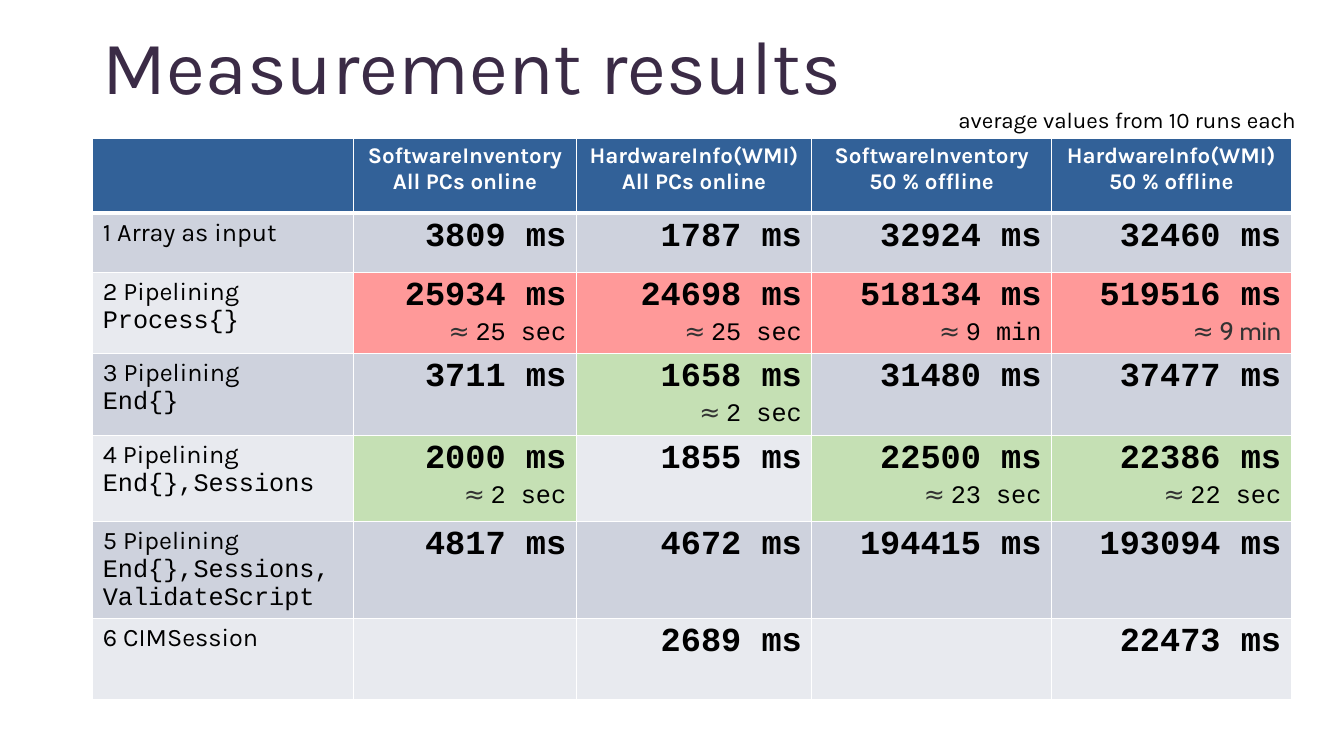
from dataclasses import dataclass
from typing import Optional

from lxml import etree
from pptx import Presentation, util as u
from pptx.dml import color
from pptx.enum import text
from pptx.oxml import ns


@dataclass(frozen=True)
class Theme:
    sans: str = "Karla"
    mono: str = "Courier New"
    note: str = "Cabin"
    title: str = "3B2B46"
    ink: str = "000000"
    soft: str = "333333"
    white: str = "FFFFFF"
    header: str = "326198"
    band_dark: str = "CED2DD"
    band_light: str = "E8EAEF"
    slow: str = "FF9999"
    fast: str = "C5E0B4"
    title_size: float = 54
    value_size: float = 24
    label_size: float = 18
    small_size: float = 16


THEME = Theme()


@dataclass(frozen=True)
class Span:
    text: str
    size: float
    font: str
    color: str = THEME.ink
    bold: bool = False


@dataclass(frozen=True)
class Measure:
    value: str
    rounded: str = ""
    fill: Optional[str] = None
    rounded_font: str = THEME.mono
    rounded_color: str = THEME.ink


@dataclass(frozen=True)
class Method:
    name: str
    code: tuple[str, ...]
    height: float
    measures: tuple[Optional[Measure], ...]


def slow(value: str, rounded: str) -> Measure:
    return Measure(value, rounded, THEME.slow)


def fast(value: str, rounded: str) -> Measure:
    return Measure(value, rounded, THEME.fast)


LEFT, TOP, HEADER_HEIGHT = 66.24, 98.64, 53.5
COLUMN_WIDTHS = (186.3, 159.1, 168.3, 171.2, 171.2)
HEADINGS = tuple(
    (script, state)
    for state in ("All PCs online", "50 % offline")
    for script in ("SoftwareInventory", "HardwareInfo(WMI)")
)
METHODS = (
    Method("1 Array as input", (), 42.5, (
        Measure("3809"), Measure("1787"), Measure("32924"), Measure("32460"))),
    Method("2 Pipelining", ("Process{}",), 58, (
        slow("25934", "25 sec"), slow("24698", "25 sec"), slow("518134", "9 min"),
        Measure("519516", "9 min", THEME.slow, THEME.note, THEME.soft))),
    Method("3 Pipelining", ("End{}",), 58.5, (
        Measure("3711"), fast("1658", "2 sec"), Measure("31480"), Measure("37477"))),
    Method("4 Pipelining", ("End{},Sessions",), 61.5, (
        fast("2000", "2 sec"), Measure("1855"), fast("22500", "23 sec"), fast("22386", "22 sec"))),
    Method("5 Pipelining", ("End{},Sessions,", "ValidateScript"), 69, (
        Measure("4817"), Measure("4672"), Measure("194415"), Measure("193094"))),
    Method("6 CIMSession", (), 58, (
        None, Measure("2689"), None, Measure("22473"))),
)


def write(frame, lines: list[list[Span]], align=text.PP_ALIGN.LEFT) -> None:
    for index, spans in enumerate(lines):
        para = frame.paragraphs[0] if index == 0 else frame.add_paragraph()
        para.alignment = align
        for span in spans:
            run = para.add_run()
            run.text = span.text
            run.font.size = u.Pt(span.size)
            run.font.name = span.font
            run.font.bold = span.bold
            run.font.color.rgb = color.RGBColor.from_string(span.color)


def paint(cell, fill: str, top: float = 1, bottom: float = 1) -> None:
    cell.fill.solid()
    cell.fill.fore_color.rgb = color.RGBColor.from_string(fill)
    properties = cell._tc.get_or_add_tcPr()
    borders = (("a:lnL", 1), ("a:lnR", 1), ("a:lnT", top), ("a:lnB", bottom))
    for position, (tag, width) in enumerate(borders):
        line = etree.Element(ns.qn(tag), w=str(int(u.Pt(width))))
        solid = etree.SubElement(line, ns.qn("a:solidFill"))
        etree.SubElement(solid, ns.qn("a:srgbClr"), val=THEME.white)
        properties.insert(position, line)


def measure_lines(measure: Measure) -> list[list[Span]]:
    lines = [[Span(f"{measure.value} ms", THEME.value_size, THEME.mono, bold=True)]]
    if measure.rounded:
        lines.append([
            Span("≈ ", THEME.label_size, THEME.note, THEME.soft),
            Span(measure.rounded, THEME.label_size, measure.rounded_font, measure.rounded_color),
        ])
    return lines


def add_title(page) -> None:
    title = page.shapes.title
    title.left, title.top = u.Pt(LEFT), u.Pt(1.44)
    title.width, title.height = u.Pt(766), u.Pt(97.2)
    frame = title.text_frame
    frame.auto_size = text.MSO_AUTO_SIZE.NONE
    frame.vertical_anchor = text.MSO_ANCHOR.MIDDLE
    write(frame, [[Span("Measurement results", THEME.title_size, THEME.sans, THEME.title)]])
    frame.paragraphs[0].line_spacing = 0.9


def add_results(page) -> None:
    total = HEADER_HEIGHT + sum(method.height for method in METHODS)
    table = page.shapes.add_table(
        len(METHODS) + 1, len(COLUMN_WIDTHS),
        u.Pt(LEFT), u.Pt(TOP), u.Pt(sum(COLUMN_WIDTHS)), u.Pt(total),
    ).table
    for column, width in zip(table.columns, COLUMN_WIDTHS):
        column.width = u.Pt(width)
    table.rows[0].height = u.Pt(HEADER_HEIGHT)

    for index, heading in enumerate(((),) + HEADINGS):
        cell = table.cell(0, index)
        paint(cell, THEME.header, bottom=3)
        lines = [[Span(line, THEME.small_size, THEME.sans, THEME.white, True)] for line in heading]
        write(cell.text_frame, lines, text.PP_ALIGN.CENTER)

    for row, method in enumerate(METHODS, start=1):
        table.rows[row].height = u.Pt(method.height)
        band = THEME.band_dark if row % 2 else THEME.band_light
        top = 3 if row == 1 else 1
        label = table.cell(row, 0)
        paint(label, band, top)
        code = [[Span(line, THEME.label_size, THEME.mono)] for line in method.code]
        write(label.text_frame, [[Span(method.name, THEME.label_size, THEME.sans)]] + code)
        for column, measure in enumerate(method.measures, start=1):
            cell = table.cell(row, column)
            paint(cell, measure.fill if measure and measure.fill else band, top)
            if measure:
                write(cell.text_frame, measure_lines(measure), text.PP_ALIGN.RIGHT)


def add_caption(page) -> None:
    box = page.shapes.add_textbox(u.Pt(677.5), u.Pt(72), u.Pt(262), u.Pt(26.64))
    box.text_frame.word_wrap = True
    box.text_frame.auto_size = text.MSO_AUTO_SIZE.SHAPE_TO_FIT_TEXT
    write(box.text_frame, [[Span("average values from 10 runs each", THEME.small_size, THEME.sans)]])


def main() -> None:
    deck = Presentation()
    deck.slide_width, deck.slide_height = u.Pt(960), u.Pt(540)
    page = deck.slides.add_slide(deck.slide_layouts.get_by_name("Title Only"))
    add_title(page)
    add_results(page)
    add_caption(page)
    deck.save("out.pptx")


if __name__ == "__main__":
    main()
